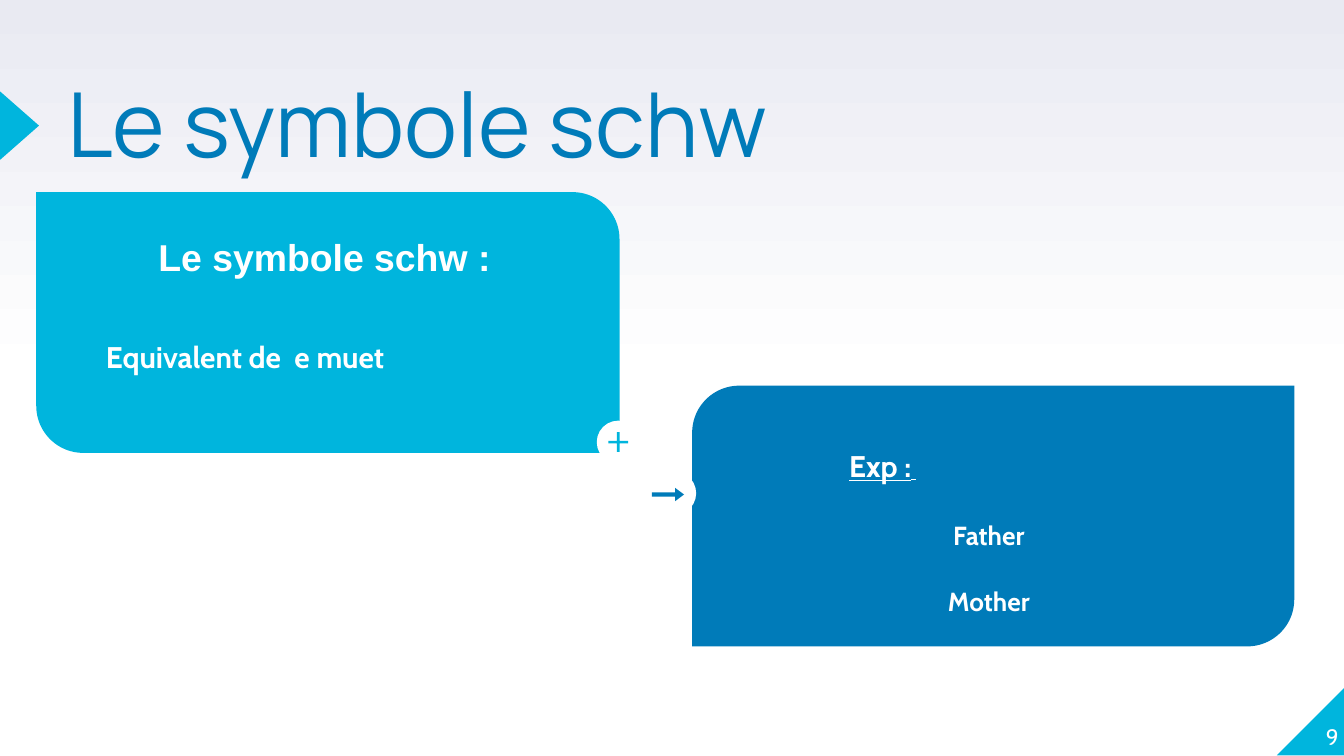
from pptx import Presentation
from pptx.dml.color import RGBColor
from pptx.enum.shapes import MSO_SHAPE
from pptx.enum.text import MSO_ANCHOR, PP_ALIGN
from pptx.util import Inches, Pt

TRIANGLE = MSO_SHAPE.ISOSCELES_TRIANGLE
CORNER = MSO_SHAPE.RIGHT_TRIANGLE
PANEL = MSO_SHAPE.ROUND_2_DIAG_RECTANGLE
CIRCLE = MSO_SHAPE.OVAL
ARROW = MSO_SHAPE.RIGHT_ARROW
PLUS = MSO_SHAPE.MATH_PLUS
TOP, BOTTOM = MSO_ANCHOR.TOP, MSO_ANCHOR.BOTTOM
LEFT, CENTER, RIGHT = PP_ALIGN.LEFT, PP_ALIGN.CENTER, PP_ALIGN.RIGHT

CYAN, BLUE, WHITE, LAVENDER = "00B5DD", "007BB9", "FFFFFF", "E9EAF2"


def rgb(color):
    return RGBColor.from_string(color)


def paint_background(slide):
    """Fade from white in the lower half to lavender at the top."""
    fill = slide.background.fill
    fill.gradient()
    fill.gradient_angle = 90
    for stop, position, color in zip(fill.gradient_stops, (0.5, 1), (WHITE, LAVENDER)):
        stop.position = position
        stop.color.rgb = rgb(color)


def add_figure(slide, kind, box, color, adjustments=(), rotation=0):
    figure = slide.shapes.add_shape(kind, *map(Inches, box))
    figure.shadow.inherit = False
    figure.fill.solid()
    figure.fill.fore_color.rgb = rgb(color)
    figure.line.fill.background()
    figure.rotation = rotation
    for index, value in enumerate(adjustments):
        figure.adjustments[index] = value


def format_run(run, size, font, color, bold):
    run.font.size = Pt(size)
    run.font.name = font
    run.font.bold = bold
    run.font.color.rgb = rgb(color)


def add_text(slide, box, text, size, font="Cabin", color=WHITE, bold=True, align=LEFT,
             anchor=TOP, inset=0.1, line_spacing=1.0, space_after=0):
    """Add a text box with one paragraph per line of text and return its frame."""
    frame = slide.shapes.add_textbox(*map(Inches, box)).text_frame
    frame.word_wrap = True
    frame.vertical_anchor = anchor
    frame.margin_left = frame.margin_right = Inches(inset)
    frame.margin_top = frame.margin_bottom = Inches(inset)
    frame.text = text
    for paragraph in frame.paragraphs:
        paragraph.alignment = align
        paragraph.line_spacing = line_spacing
        paragraph.space_after = Pt(space_after)
        for run in paragraph.runs:
            format_run(run, size, font, color, bold)
    return frame


def add_badge(slide, left, top, symbol, symbol_box, color, adjustments):
    """Add a white disc with a small symbol on it."""
    add_figure(slide, CIRCLE, (left, top, 0.32, 0.32), WHITE)
    add_figure(slide, symbol, symbol_box, color, adjustments)


def add_definition(slide):
    add_figure(slide, PANEL, (0.27, 1.43, 4.34, 1.94), CYAN, (0, 0.18))
    add_text(slide, (1.08, 1.64, 3.24, 0.57), "Le symbole schw :", 20, font="Arial")
    add_text(slide, (0.69, 2.38, 3.24, 0.63), "Equivalent de  e muet", 16,
             line_spacing=1.15, space_after=16)


def add_examples(slide):
    add_figure(slide, PANEL, (5.15, 2.87, 4.48, 1.94), BLUE, (0.18, 0))
    heading = add_text(slide, (6.22, 3.23, 2.55, 0.57), "Exp :", 16).paragraphs[0]
    trailing = heading.add_run()
    trailing.text = " "
    format_run(trailing, 11, "Cabin", WHITE, True)
    for run in heading.runs:
        run.font.underline = True
    add_text(slide, (5.71, 3.73, 3.34, 0.93), "Father \nMother ", 14, align=CENTER,
             line_spacing=1.15, space_after=16)


def main():
    presentation = Presentation()
    presentation.slide_width = Inches(10)
    presentation.slide_height = Inches(5.625)
    slide = presentation.slides.add_slide(presentation.slide_layouts[6])

    paint_background(slide)
    add_figure(slide, CORNER, (9.5, 5.11, 0.51, 0.51), CYAN, rotation=270)
    add_figure(slide, TRIANGLE, (-0.11, 0.79, 0.51, 0.29), CYAN, rotation=90)
    add_text(slide, (0.5, 0.66, 6.17, 1.18), "Le symbole schw", 48, font="Manrope",
             color=BLUE, bold=False, inset=0, line_spacing=0.8)
    add_text(slide, (9.46, 5.07, 0.5, 0.51), "9", 12, bold=False, align=RIGHT,
             anchor=BOTTOM, inset=0)
    add_examples(slide)
    add_definition(slide)
    add_badge(slide, 4.86, 3.51, ARROW, (4.85, 3.63, 0.24, 0.1), BLUE, (0.32, 0.67))
    add_badge(slide, 4.44, 3.13, PLUS, (4.5, 3.19, 0.2, 0.2), CYAN, (0.1,))

    presentation.save("out.pptx")


if __name__ == "__main__":
    main()
